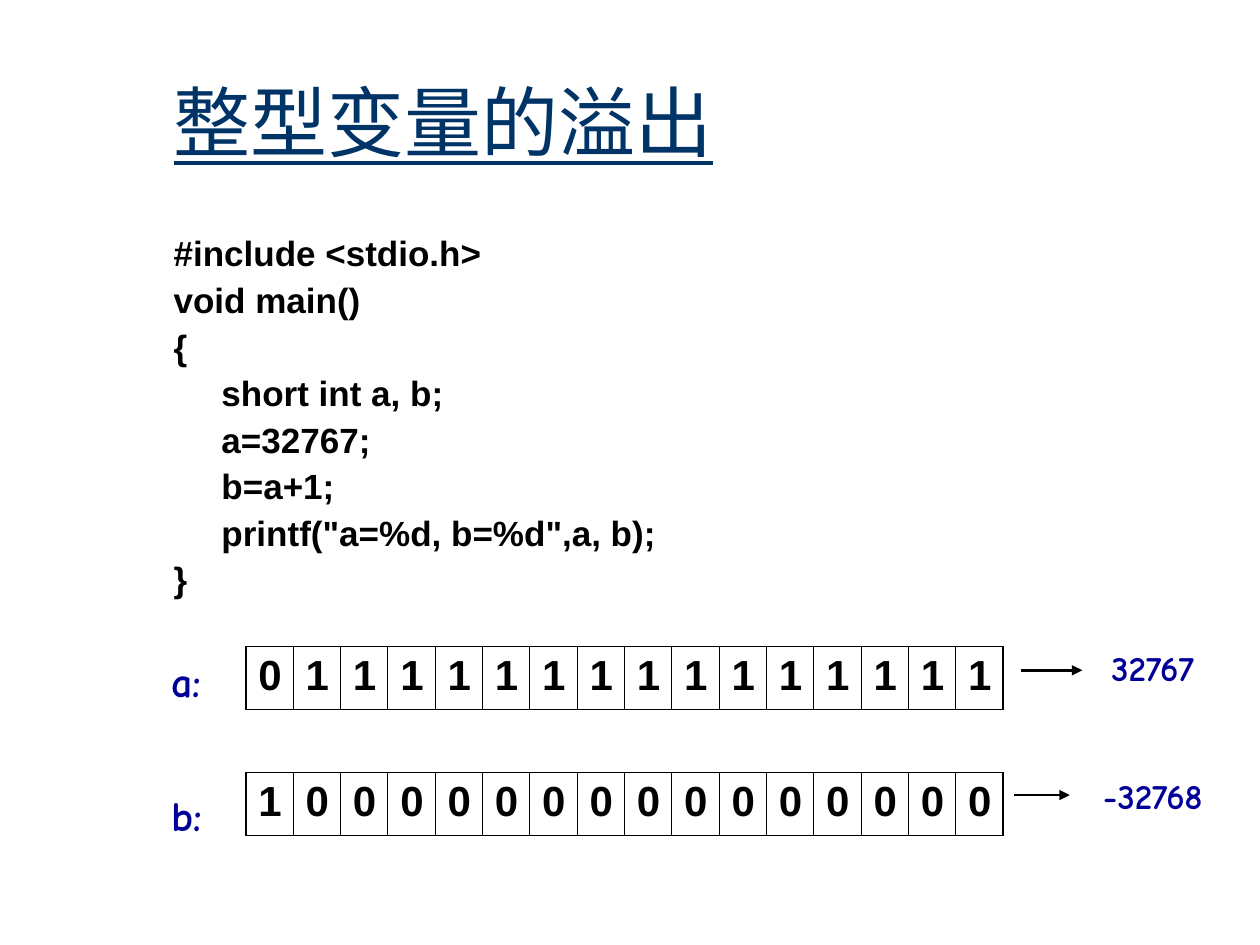
from dataclasses import dataclass

from pptx import Presentation
from pptx.dml.color import RGBColor
from pptx.enum.shapes import MSO_CONNECTOR
from pptx.enum.text import MSO_ANCHOR, PP_ALIGN
from pptx.oxml.ns import qn
from pptx.slide import Slide
from pptx.table import _Cell
from pptx.text.text import _Paragraph
from pptx.util import Inches, Pt
from lxml import etree

STRAIGHT = MSO_CONNECTOR.STRAIGHT
LEFT, CENTER = PP_ALIGN.LEFT, PP_ALIGN.CENTER
TOP, MIDDLE = MSO_ANCHOR.TOP, MSO_ANCHOR.MIDDLE

BLACK, NAVY, BLUE = "000000", "003366", "000099"
SANS, COMIC = "Arial", "Comic Neue"
THICK, THIN = 1.08, 0.45
BITS = 16
ROW_HEIGHT = 0.5

CODE = """#include <stdio.h>
void main()
{
\tshort int a, b;
\ta=32767;
\tb=a+1;
\tprintf("a=%d, b=%d",a, b);
}"""


@dataclass
class Box:
    left: float
    top: float
    width: float
    height: float

    def lengths(self) -> list[int]:
        return [Inches(n) for n in (self.left, self.top, self.width, self.height)]


@dataclass
class Arrow:
    start: float
    end: float
    y: float


ARROWS = [Arrow(8.1, 8.59, 5.32), Arrow(8.05, 8.49, 6.31)]


def color(value: str) -> RGBColor:
    return RGBColor.from_string(value)


def format_text(para: _Paragraph, text: str, *, size: float, font: str, fill: str,
                bold: bool = False, underline: bool = False) -> None:
    span = para.add_run()
    span.text = text
    span.font.size = Pt(size)
    span.font.name = font
    span.font.bold = bold
    span.font.underline = underline
    span.font.color.rgb = color(fill)


def add_text(page: Slide, box: Box, text: str, *, align: PP_ALIGN = LEFT,
             anchor: MSO_ANCHOR = TOP, gap: float = 0, spacing: float = 1,
             hanging: float = 0, **style) -> None:
    """Add a wrapped text box with one paragraph for each line of text."""
    frame = page.shapes.add_textbox(*box.lengths()).text_frame
    frame.word_wrap = True
    frame.vertical_anchor = anchor
    for index, line in enumerate(text.split("\n")):
        para = frame.add_paragraph() if index else frame.paragraphs[0]
        para.alignment = align
        para.line_spacing = spacing
        if index:
            para.space_before = Pt(gap)
        if hanging:
            properties = para._p.get_or_add_pPr()
            properties.set("marL", str(Inches(hanging)))
            properties.set("indent", str(-Inches(hanging)))
        format_text(para, line, **style)


def set_border(cell: _Cell, side: str, width: float) -> None:
    """Draw one cell edge; a width of zero hides it."""
    edge = etree.SubElement(cell._tc.get_or_add_tcPr(), qn(f"a:ln{side}"), w=str(Pt(width)))
    if not width:
        etree.SubElement(edge, qn("a:noFill"))
        return
    fill = etree.SubElement(edge, qn("a:solidFill"))
    etree.SubElement(fill, qn("a:srgbClr"), val=BLACK)


def add_bit_table(page: Slide, box: Box, rows: list[str]) -> None:
    """Show each string of bits as a row of cells; an empty string is a gap."""
    table = page.shapes.add_table(len(rows), BITS, *box.lengths()).table
    table.first_row = table.horz_banding = False
    for column in table.columns:
        column.width = Inches(box.width / BITS)
    for row_index, bits in enumerate(rows):
        table.rows[row_index].height = Inches(ROW_HEIGHT)
        for index in range(BITS):
            cell = table.cell(row_index, index)
            inner = THIN if bits else 0
            outer = THICK if bits else 0
            set_border(cell, "L", inner if index else outer)
            set_border(cell, "R", inner if index < BITS - 1 else outer)
            set_border(cell, "T", THICK)
            set_border(cell, "B", THICK)
            cell.fill.background()
            if bits:
                format_text(cell.text_frame.paragraphs[0], bits[index],
                            size=24, font=SANS, fill=BLACK, bold=True)


def add_arrow(page: Slide, arrow: Arrow) -> None:
    y = Inches(arrow.y)
    connector = page.shapes.add_connector(
        STRAIGHT, Inches(arrow.start), y, Inches(arrow.end), y)
    connector.line.color.rgb = color(BLACK)
    connector.line.width = Pt(1.5)
    etree.SubElement(connector.line._get_or_add_ln(), qn("a:tailEnd"), type="triangle")
    etree.SubElement(connector._element.spPr, qn("a:effectLst"))


def main() -> None:
    deck = Presentation()
    deck.slide_width, deck.slide_height = Inches(10), Inches(7.5)
    page = deck.slides.add_slide(deck.slide_layouts[6])

    add_text(page, Box(1.28, 0.33, 8.5, 1.25), "整型变量的溢出", anchor=MIDDLE,
             size=44, font=COMIC, fill=NAVY, underline=True)
    add_text(page, Box(1.28, 1.83, 7.46, 3.2), CODE, gap=5, spacing=0.9, hanging=0.38,
             size=20, font=SANS, fill=BLACK, bold=True)
    add_bit_table(page, Box(1.95, 5.13, 6.01, 3 * ROW_HEIGHT),
                  ["0" + "1" * (BITS - 1), "", "1" + "0" * (BITS - 1)])
    add_text(page, Box(1.16, 5.15, 0.64, 1.57), "a:\nb:", align=CENTER, gap=48,
             size=24, font=COMIC, fill=BLUE, bold=True)
    add_text(page, Box(8.3, 5.08, 1.7, 1.45), "32767\n-32768", align=CENTER, gap=49,
             size=20, font=COMIC, fill=BLUE, bold=True)
    for arrow in ARROWS:
        add_arrow(page, arrow)

    deck.save("out.pptx")


if __name__ == "__main__":
    main()
